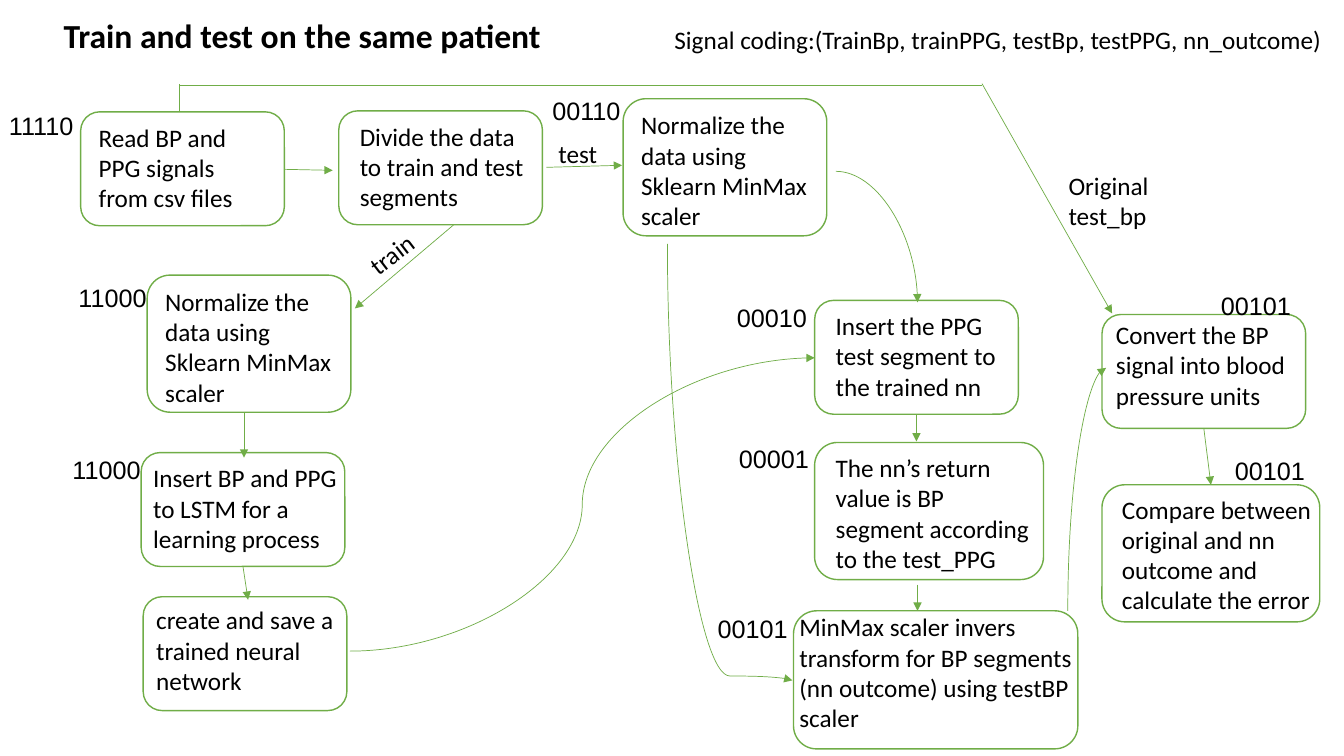
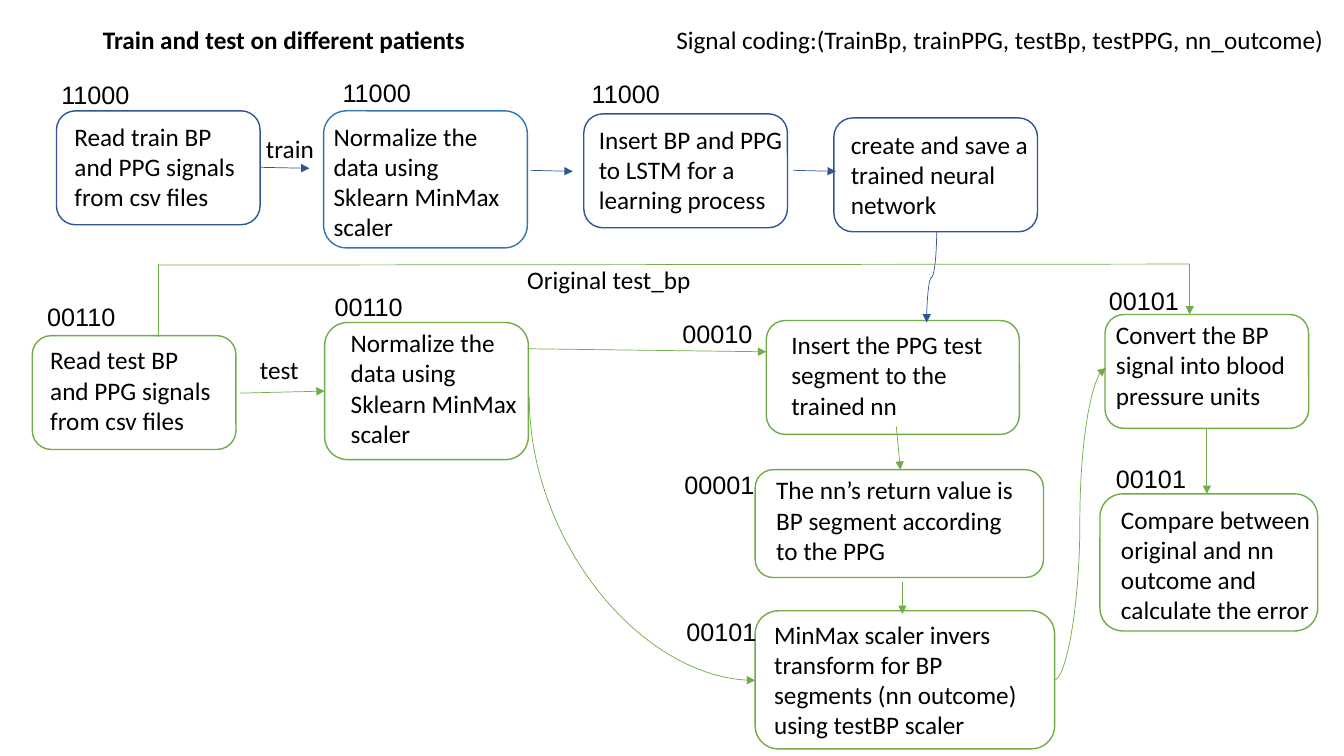
from dataclasses import dataclass

from lxml.etree import SubElement
from pptx import Presentation
from pptx.dml.color import RGBColor
from pptx.enum.shapes import MSO_CONNECTOR as LINK, MSO_SHAPE as SHAPE
from pptx.enum.text import MSO_ANCHOR as ANCHOR, MSO_AUTO_SIZE as AUTO, PP_ALIGN as ALIGN
from pptx.oxml.ns import qn
from pptx.slide import Slide
from pptx.text.text import TextFrame
from pptx.util import Inches, Pt

SLIDE_W, SLIDE_H = Inches(13.33), Inches(7.5)
ROWS = 75
CELL = SLIDE_H / ROWS
BLACK = RGBColor(0x00, 0x00, 0x00)
WHITE = RGBColor(0xFF, 0xFF, 0xFF)
GREEN = RGBColor(0x70, 0xAD, 0x47)
NAVY = RGBColor(0x2F, 0x55, 0x97)
BLUE = RGBColor(0x2E, 0x75, 0xB6)
SANS, CODE_FONT = "Calibri", "Arial"
STEP_W, LOW, TALL = 20.2, 11.3, 13.6
LINE_H, CODE_W = 4, 9.4
CODING = "Signal coding:(TrainBp, trainPPG, testBp, testPPG, nn_outcome)"
NORMALIZE = "Normalize the data using Sklearn MinMax scaler"
LEARN = "Insert BP and PPG to LSTM for a learning process"
CREATE = "create and save a trained neural network"
PREDICT = "Insert the PPG test segment to the trained nn"
INVERT = "MinMax scaler invers transform for BP segments (nn outcome) using testBP scaler"
CONVERT = "Convert the BP signal into blood pressure units"
COMPARE = "Compare between original and nn outcome and calculate the error"


@dataclass(frozen=True)
class Step:
    """A rounded process box whose text starts at an offset from its corner."""
    text: str
    x: float
    y: float
    w: float = STEP_W
    h: float = LOW
    dx: float = 0.8
    dy: float = 0.5
    text_w: float = STEP_W
    color: RGBColor = GREEN


@dataclass(frozen=True)
class Arrow:
    """A straight link, or a curve with 2 or 3 segments."""
    x1: float
    y1: float
    x2: float
    y2: float
    color: RGBColor = GREEN
    head: bool = True
    curve: int = 0
    upright: bool = False
    bend: float = 0.5


@dataclass(frozen=True)
class Label:
    """A word beside an arrow."""
    text: str
    x: float
    y: float
    w: float
    h: float = LINE_H
    turn: float = 0


@dataclass(frozen=True)
class Code:
    """A signal code beside a step."""
    text: str
    x: float
    y: float


@dataclass(frozen=True)
class Flow:
    """One slide with its title and the parts of its flow chart."""
    title: str
    title_at: tuple[float, float, float, float]
    title_size: int
    coding_at: tuple[float, float, float, float]
    steps: list[Step]
    arrows: list[Arrow]
    labels: list[Label]
    codes: list[Code]


def cells(*values: float) -> list[int]:
    """Turn grid cells into slide units."""
    return [round(v * CELL) for v in values]


def write(tf: TextFrame, text: str, *, size: int = 18, font: str = SANS,
          bold: bool = False, wrap: bool = True) -> None:
    """Fill a text frame with one formatted run."""
    tf.word_wrap = wrap
    tf.auto_size = AUTO.NONE if wrap else AUTO.SHAPE_TO_FIT_TEXT
    tf.vertical_anchor = ANCHOR.TOP
    p = tf.paragraphs[0]
    p.alignment = ALIGN.LEFT
    r = p.add_run()
    r.text = text
    r.font.name, r.font.size, r.font.bold = font, Pt(size), bold
    r.font.color.rgb = BLACK


def add_text(s: Slide, text: str, x: float, y: float, w: float, h: float = LINE_H,
             *, turn: float = 0, font: str = SANS, wrap: bool = True) -> None:
    """Add a text box on the grid."""
    box = s.shapes.add_textbox(*cells(x, y, w, h))
    box.rotation = turn
    write(box.text_frame, text, font=font, wrap=wrap)


def add_step(s: Slide, step: Step) -> None:
    """Draw a process box and its text."""
    sp = s.shapes.add_shape(SHAPE.ROUNDED_RECTANGLE, *cells(step.x, step.y, step.w, step.h))
    sp.shadow.inherit = False
    sp.fill.solid()
    sp.fill.fore_color.rgb = WHITE
    sp.line.color.rgb = step.color
    sp.line.width = Pt(1)
    add_text(s, step.text, step.x + step.dx, step.y + step.dy, step.text_w, step.h)


def upright_ends(a: Arrow) -> tuple[int, float, float, float, float]:
    """Return the turn and the unturned ends of a curve that leaves vertically."""
    across, down = a.x2 - a.x1, a.y2 - a.y1
    cx, cy = (a.x1 + a.x2) / 2, (a.y1 + a.y2) / 2
    half_w, half_h = abs(down) / 2, abs(across) / 2
    if across > 0 or down < 0:
        half_w = -half_w
    if across > 0 and down < 0:
        half_h = -half_h
    turn = 270 if across > 0 and down > 0 else 90
    return turn, cx - half_w, cy - half_h, cx + half_w, cy + half_h


def add_arrow(s: Slide, a: Arrow) -> None:
    """Draw a link with its route and arrowhead."""
    turn, *ends = upright_ends(a) if a.upright else (0, a.x1, a.y1, a.x2, a.y2)
    c = s.shapes.add_connector(LINK.CURVE if a.curve else LINK.STRAIGHT, *cells(*ends))
    c.line.color.rgb = a.color
    c.line.width = Pt(0.5)
    props = c._element.spPr
    if turn:
        props.find(qn("a:xfrm")).set("rot", str(turn * 60000))
    if a.curve:
        geom = props.find(qn("a:prstGeom"))
        geom.set("prst", f"curvedConnector{a.curve}")
        if a.curve == 3:
            SubElement(geom.find(qn("a:avLst")), qn("a:gd"), name="adj1",
                       fmla=f"val {round(a.bend * 100000)}")
    if a.head:
        SubElement(props.find(qn("a:ln")), qn("a:tailEnd"), type="triangle")
    SubElement(props, qn("a:effectLst"))


def add_flow(prs: Presentation, flow: Flow) -> None:
    """Build one flow chart slide."""
    s = prs.slides.add_slide(prs.slide_layouts[5])
    title = s.shapes.title
    title.left, title.top, title.width, title.height = cells(*flow.title_at)
    write(title.text_frame, flow.title, size=flow.title_size, bold=True)
    add_text(s, CODING, *flow.coding_at)
    for step in flow.steps:
        add_step(s, step)
    for arrow in flow.arrows:
        add_arrow(s, arrow)
    for lb in flow.labels:
        add_text(s, lb.text, lb.x, lb.y, lb.w, lb.h, turn=lb.turn)
    for code in flow.codes:
        add_text(s, code.text, code.x, code.y, CODE_W, font=CODE_FONT, wrap=False)


SAME_PATIENT = Flow(
    "Train and test on the same patient", (5.3, 1, 50.7, 5), 24, (65.9, 1.9, 68.8, LINE_H),
    steps=[
        Step("Read BP and PPG signals from csv files", 8, 11.1, text_w=16.4),
        Step("Divide the data to train and test segments", 33.6, 11, dx=1.1, text_w=18.4),
        Step(NORMALIZE, 61.8, 9.8, h=TALL, dy=0.6),
        Step(NORMALIZE, 14.6, 27.3, h=TALL, dy=0.6),
        Step(LEARN, 14, 44.9, dx=0.2),
        Step(CREATE, 14.2, 59.2, dx=0.3, dy=0.3),
        Step(PREDICT, 80.8, 29.8, dx=1.1, text_w=18.4),
        Step("The nn’s return value is BP segment according to the test_PPG",
             80.8, 43.9, 22.7, TALL, dx=1.1, text_w=21.6),
        Step(INVERT, 78.7, 60.6, 28.2, 13.7, dx=-0.4, dy=-0.4, text_w=30.7),
        Step(CONVERT, 109.3, 31.2, dx=0.4, dy=0, text_w=19.8),
        Step(COMPARE, 109.3, 48.1, 21.6, TALL, dx=1, dy=0.4, text_w=21.7),
    ],
    arrows=[
        Arrow(28.2, 16.8, 33, 16.9),
        Arrow(54.2, 16.6, 61.7, 16.4),
        Arrow(45, 22.3, 35.2, 30.6),
        Arrow(24.2, 41, 24.2, 45.4),
        Arrow(24.1, 56.2, 24.6, 59.5),
        Arrow(90.9, 41.1, 90.9, 43.8),
        Arrow(91, 58, 91, 60.6),
        Arrow(119.4, 42.5, 120.1, 48.1),
        Arrow(17.8, 11, 17.8, 8.3, head=False),
        Arrow(17.8, 8.5, 97.4, 8.5, head=False),
        Arrow(97.4, 8.3, 110.3, 31.1),
        Arrow(82.9, 17, 91, 30, curve=2),
        Arrow(34.7, 64.6, 80.8, 35.5, curve=3),
        Arrow(66.2, 24.2, 78.6, 67.5, curve=3, upright=True, bend=0.99),
        Arrow(105.9, 60.6, 109.7, 36.5, curve=2, upright=True),
    ],
    labels=[
        Label("train", 35.3, 22.7, 8.3, turn=322.6),
        Label("test", 54.4, 13.2, 7.1),
        Label("Original test_bp", 105, 16.4, 11.7, 7.1),
    ],
    codes=[
        Code("11110", -0.1, 10.5), Code("00110", 53.8, 9), Code("11000", 6.8, 27.5),
        Code("11000", 6.2, 44.6), Code("00010", 72.1, 29.5), Code("00001", 72.3, 43.5),
        Code("00101", 70.2, 60.4), Code("00101", 120.1, 28.3), Code("00101", 121.5, 44.7),
    ],
)

OTHER_PATIENTS = Flow(
    "Train and test on different patients", (9.2, 1.9, 47.8, LINE_H), 18,
    (66.1, 1.9, 66.7, LINE_H),
    steps=[
        Step("Read train BP and PPG signals from csv files", 5.6, 11, text_w=19, color=NAVY),
        Step(NORMALIZE, 32.1, 11, h=TALL, dx=0, color=BLUE),
        Step(LEARN, 57.9, 11.3, dx=0.5, color=NAVY),
        Step(CREATE, 82.7, 11.7, dx=0.7, dy=0.6, color=NAVY),
        Step("Read test BP and PPG signals from csv files", 3.2, 33.3, dy=0.4, text_w=19),
        Step(NORMALIZE, 32.2, 32, h=TALL, dx=1.6, dy=0),
        Step(PREDICT, 76, 31.8, 25.1, dx=1.5, dy=0.4, text_w=22.7),
        Step("The nn’s return value is BP segment according to the PPG",
             74.9, 46.6, 28.6, 10.7, dx=1.1, dy=0, text_w=26.6),
        Step(INVERT, 74.9, 60.6, 29.7, 13.7, dx=0.9, dy=0.3, text_w=27.4),
        Step(CONVERT, 109.6, 31.2, dx=0.1, dy=0, text_w=19.8),
        Step(COMPARE, 109.1, 49, 21.6, TALL, dx=1.1, text_w=21.7),
    ],
    arrows=[
        Arrow(25.8, 16.6, 30.7, 16.7, NAVY),
        Arrow(52.6, 16.9, 56.8, 17, NAVY),
        Arrow(78.7, 16.9, 82.9, 17, NAVY),
        Arrow(92.9, 23, 91.9, 32, NAVY, curve=3, upright=True),
        Arrow(23.8, 39, 32.2, 38.8),
        Arrow(52.3, 34.6, 76, 34.9),
        Arrow(88.9, 42.3, 89.3, 46.6),
        Arrow(89.5, 57.7, 89.5, 60.9),
        Arrow(119.7, 42.5, 119.7, 49),
        Arrow(15.7, 33.4, 15.7, 26.2, head=False),
        Arrow(15.7, 26.3, 118, 26.2, head=False),
        Arrow(118, 26.2, 118, 31.2),
        Arrow(52.5, 39.4, 74.9, 67.5, curve=2, upright=True),
        Arrow(104.5, 67.5, 109.7, 36.5, curve=3),
    ],
    labels=[
        Label("train", 25.4, 12.7, 8.3),
        Label("test", 24.8, 34.7, 7.1),
        Label("Original test_bp", 51.3, 25.7, 20.3),
    ],
    codes=[
        Code("11000", 5.1, 7.4), Code("11000", 33, 7.2), Code("11000", 57.7, 7.3),
        Code("00110", 3.7, 29.4), Code("00110", 32.2, 28.4), Code("00010", 66.7, 31.1),
        Code("00001", 66.9, 46.1), Code("00101", 67.1, 60.7), Code("00101", 109, 27.8),
        Code("00101", 109.7, 45.5),
    ],
)

prs = Presentation()
prs.slide_width, prs.slide_height = SLIDE_W, SLIDE_H
for flow in (SAME_PATIENT, OTHER_PATIENTS):
    add_flow(prs, flow)
prs.save("out.pptx")
